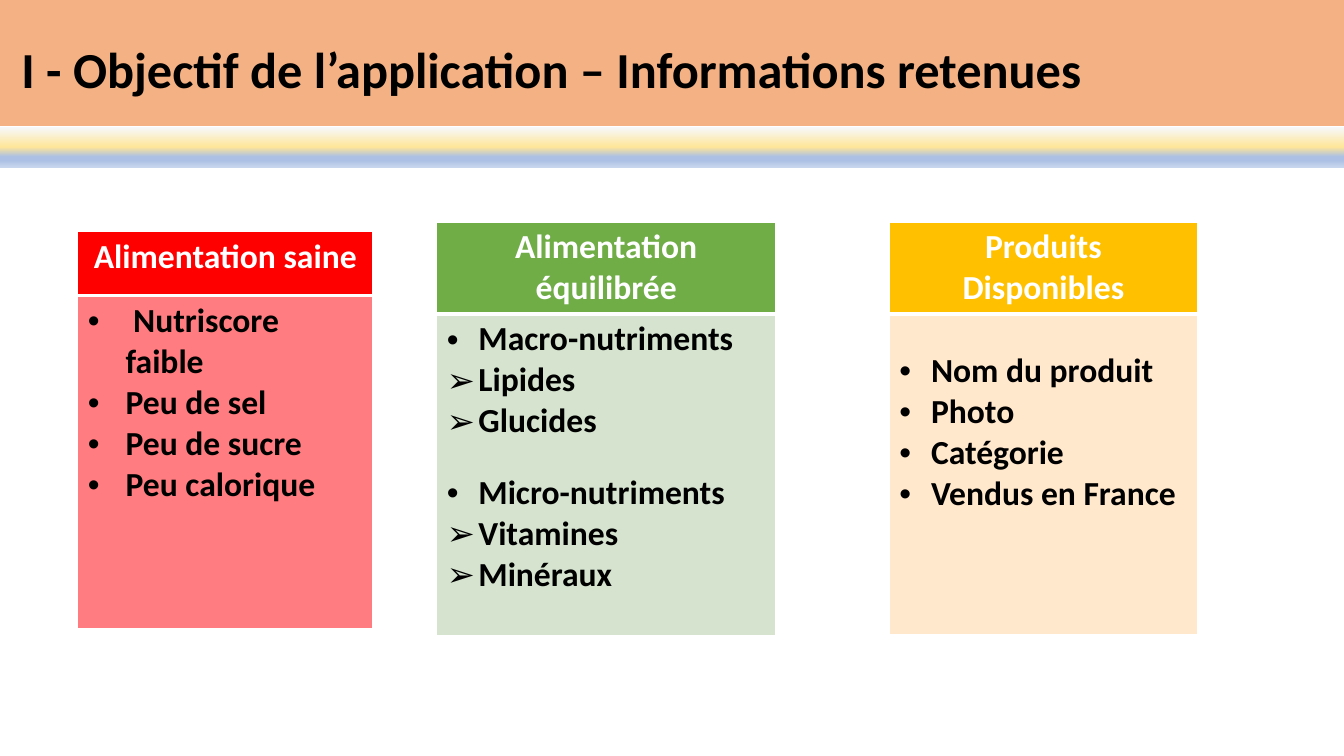
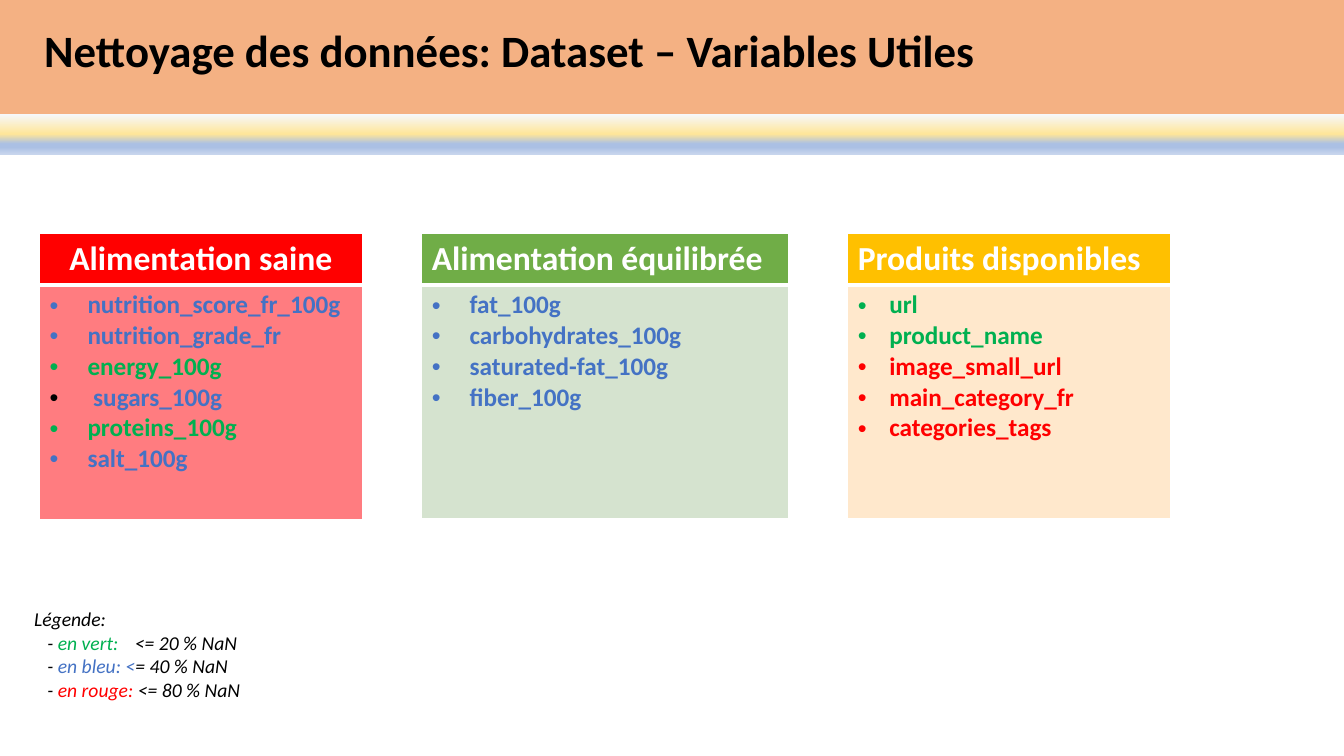
from dataclasses import dataclass

from lxml import etree
from pptx import Presentation
from pptx.dml.color import RGBColor
from pptx.enum.shapes import MSO_SHAPE
from pptx.enum.text import MSO_ANCHOR, PP_ALIGN
from pptx.oxml.ns import qn
from pptx.util import Pt

RECT = MSO_SHAPE.RECTANGLE
TOP = MSO_ANCHOR.TOP
LEFT, CENTER = PP_ALIGN.LEFT, PP_ALIGN.CENTER

FONT = "Calibri"
SLIDE_W, SLIDE_H = 960, 540
STRIPE_H = 28.8
EMU_PER_PT = 12700
BLACK, WHITE, BAND = "000000", "FFFFFF", "F4B183"
GREEN, BLUE, RED = "00B050", "4472C4", "FF0000"
STRIPE_STOPS = ((0, "F6F8FC"), (50, "FFE699"), (74, "ABC0E4"), (83, "ABC0E4"), (100, "C7D5ED"))
BORDERS = ("lnL", "lnR", "lnT", "lnB")
WIDE, NARROW = 27, 22.5


@dataclass(frozen=True)
class Theme:
    head: str
    body: str


HEALTHY = Theme("FF0000", "FF7C80")
BALANCED = Theme("70AD47", "D5E3CF")
AVAILABLE = Theme("FFC000", "FFE8CC")


@dataclass(frozen=True)
class Run:
    text: str
    color: str = BLACK


@dataclass(frozen=True)
class Item:
    runs: tuple[Run, ...]
    bullet: str = "•"
    before: float = 0


@dataclass(frozen=True)
class Card:
    theme: Theme
    title: tuple[str, ...]
    items: tuple[Item, ...]
    x: float
    y: float
    w: float
    head_h: float
    body_h: float
    size: float
    indent: float
    align: PP_ALIGN = CENTER
    body_top: float = 3.6


def item(text: str, color: str = BLACK, bullet: str = "•", before: float = 0) -> Item:
    return Item((Run(text, color),), bullet, before)


def rgb(color: str) -> RGBColor:
    return RGBColor.from_string(color)


def add_text(p, text: str, *, size: float, color: str = BLACK,
             bold: bool = False, italic: bool = False) -> None:
    r = p.add_run()
    r.text = text
    r.font.name = FONT
    r.font.size = Pt(size)
    r.font.bold = bold
    r.font.italic = italic
    r.font.color.rgb = rgb(color)


def next_paragraph(tf, index: int):
    return tf.paragraphs[0] if index == 0 else tf.add_paragraph()


def add_solid(parent, color: str) -> None:
    fill = etree.SubElement(parent, qn("a:solidFill"))
    etree.SubElement(fill, qn("a:srgbClr"), val=color)


def set_bullet(p, char: str, indent: float) -> None:
    pPr = p._p.get_or_add_pPr()
    pPr.set("marL", str(int(indent * EMU_PER_PT)))
    pPr.set("indent", str(int(-indent * EMU_PER_PT)))
    etree.SubElement(pPr, qn("a:buFont"), typeface="Arial")
    etree.SubElement(pPr, qn("a:buChar"), char=char)


def set_borders(cell, bottom: float) -> None:
    tcPr = cell._tc.get_or_add_tcPr()
    for i, side in enumerate(BORDERS):
        width = bottom if side == "lnB" else 1
        ln = etree.Element(qn(f"a:{side}"), w=str(int(width * EMU_PER_PT)))
        add_solid(ln, WHITE)
        tcPr.insert(i, ln)


def fill_cell(cell, color: str, bottom: float) -> None:
    cell.fill.solid()
    cell.fill.fore_color.rgb = rgb(color)
    set_borders(cell, bottom)


def add_rect(s, y: float, h: float, color: str):
    sp = s.shapes.add_shape(RECT, 0, Pt(y), Pt(SLIDE_W), Pt(h))
    sp.shadow.inherit = False
    sp.line.fill.background()
    sp.fill.solid()
    sp.fill.fore_color.rgb = rgb(color)
    return sp


def add_stripe(s, y: float) -> None:
    sp = add_rect(s, y, STRIPE_H, WHITE)
    spPr = sp._element.spPr
    grad = etree.Element(qn("a:gradFill"), rotWithShape="1")
    stops = etree.SubElement(grad, qn("a:gsLst"))
    for pos, color in STRIPE_STOPS:
        gs = etree.SubElement(stops, qn("a:gs"), pos=str(pos * 1000))
        etree.SubElement(gs, qn("a:srgbClr"), val=color)
    etree.SubElement(grad, qn("a:lin"), ang="5400000", scaled="0")
    spPr.replace(spPr.find(qn("a:solidFill")), grad)


def add_header(s, title: str, *, band_h: float, stripe_y: float,
               left: float, top: float, size: float) -> None:
    tf = add_rect(s, 0, band_h, BAND).text_frame
    tf.word_wrap = True
    tf.vertical_anchor = TOP
    tf.margin_left, tf.margin_top, tf.margin_bottom = Pt(left), Pt(top), 0
    p = tf.paragraphs[0]
    p.alignment = LEFT
    add_text(p, title, size=size, bold=True)
    add_stripe(s, stripe_y)


def add_card(s, card: Card) -> None:
    table = s.shapes.add_table(2, 1, Pt(card.x), Pt(card.y), Pt(card.w),
                               Pt(card.head_h + card.body_h)).table
    table.rows[0].height = Pt(card.head_h)
    table.rows[1].height = Pt(card.body_h)
    head, body = table.cell(0, 0), table.cell(1, 0)
    fill_cell(head, card.theme.head, 3)
    fill_cell(body, card.theme.body, 1)
    body.margin_top = Pt(card.body_top)
    for i, line in enumerate(card.title):
        p = next_paragraph(head.text_frame, i)
        p.alignment = card.align
        add_text(p, line, size=24, color=WHITE, bold=True)
    for i, entry in enumerate(card.items):
        p = next_paragraph(body.text_frame, i)
        set_bullet(p, entry.bullet, card.indent)
        if entry.before:
            p.space_before = Pt(entry.before)
        for run in entry.runs:
            add_text(p, run.text, size=card.size, color=run.color, bold=True)


def add_legend(s) -> None:
    lines = (
        (Run("Légende:"),),
        (Run("- "), Run("en vert:\t", GREEN), Run("<= 20 % NaN")),
        (Run("- "), Run("en bleu: <", BLUE), Run("= 40 % NaN")),
        (Run("- "), Run("en rouge: ", RED), Run("<= 80 % NaN")),
    )
    tf = s.shapes.add_textbox(Pt(17.3), Pt(430), Pt(185), Pt(92)).text_frame
    tf.word_wrap = True
    for i, runs in enumerate(lines):
        p = next_paragraph(tf, i)
        if i:
            pPr = p._p.get_or_add_pPr()
            pPr.set("marL", "0")
            pPr.set("indent", str(int(9.5 * EMU_PER_PT)))
            tabs = etree.SubElement(pPr, qn("a:tabLst"))
            etree.SubElement(tabs, qn("a:tab"), pos=str(70 * EMU_PER_PT), algn="l")
        for run in runs:
            add_text(p, run.text, size=14, color=run.color, italic=True)


GOAL_CARDS = (
    Card(HEALTHY, ("Alimentation saine",),
         (item(" Nutriscore faible"), item("Peu de sel"),
          item("Peu de sucre"), item("Peu calorique")),
         55.5, 165.6, 211, 45.4, 238.3, 24, WIDE),
    Card(BALANCED, ("Alimentation équilibrée",),
         (item("Macro-nutriments"), item("Lipides", bullet="➢"), item("Glucides", bullet="➢"),
          item("Micro-nutriments", before=22),
          item("Vitamines", bullet="➢"), item("Minéraux", bullet="➢")),
         312, 158.5, 242, 65, 229.5, 24, NARROW),
    Card(AVAILABLE, ("Produits", "Disponibles"),
         (item("Nom du produit"), item("Photo"), item("Catégorie"), item("Vendus en France")),
         635.3, 158.5, 220, 66, 228.5, 24, NARROW, body_top=25.6),
)

VARIABLE_CARDS = (
    Card(HEALTHY, ("Alimentation saine",),
         (item("nutrition_score_fr_100g", BLUE), item("nutrition_grade_fr", BLUE),
          item("energy_100g", GREEN), Item((Run(" "), Run("sugars_100g", BLUE))),
          item("proteins_100g", GREEN), item("salt_100g", BLUE)),
         28.3, 167, 230.4, 36, 167.5, 18, WIDE),
    Card(BALANCED, ("Alimentation équilibrée",),
         tuple(item(name, BLUE) for name in
               ("fat_100g", "carbohydrates_100g", "saturated-fat_100g", "fiber_100g")),
         301.2, 167, 262, 36, 167, 18, WIDE, LEFT),
    Card(AVAILABLE, ("Produits disponibles",),
         (item("url", GREEN), item("product_name", GREEN), item("image_small_url", RED),
          item("main_category_fr", RED), item("categories_tags", RED)),
         605.5, 167, 230.4, 36, 167, 18, NARROW, LEFT),
)


def main() -> None:
    prs = Presentation()
    prs.slide_width, prs.slide_height = Pt(SLIDE_W), Pt(SLIDE_H)
    blank = prs.slide_layouts[6]

    s = prs.slides.add_slide(blank)
    add_header(s, "I - Objectif de l’application – Informations retenues",
               band_h=90, stripe_y=90.7, left=15.3, top=27, size=36)
    for card in GOAL_CARDS:
        add_card(s, card)

    s = prs.slides.add_slide(blank)
    add_header(s, "Nettoyage des données: Dataset – Variables Utiles",
               band_h=110, stripe_y=81.4, left=31.6, top=16.5, size=32)
    for card in VARIABLE_CARDS:
        add_card(s, card)
    add_legend(s)

    prs.save("out.pptx")


if __name__ == "__main__":
    main()
